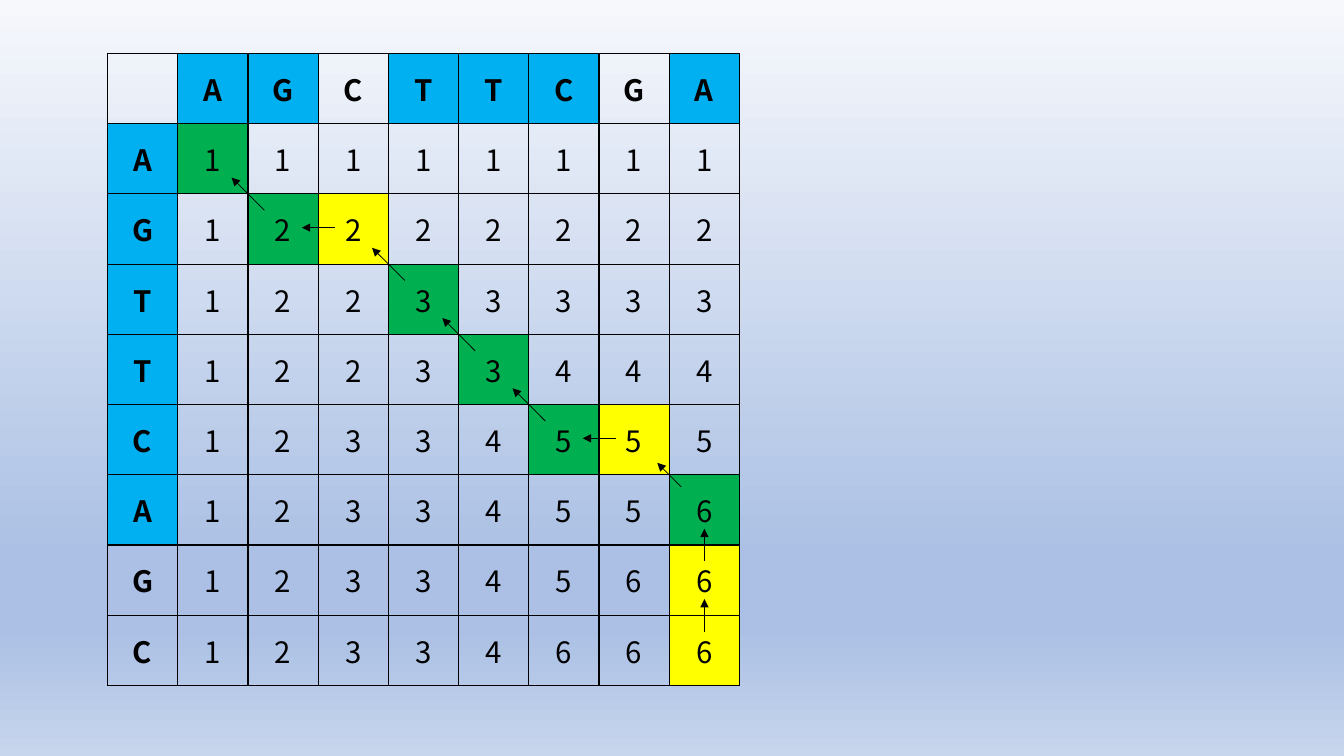
from lxml import etree
from pptx import Presentation
from pptx.dml.color import RGBColor
from pptx.enum.shapes import MSO_CONNECTOR
from pptx.enum.text import MSO_ANCHOR, PP_ALIGN
from pptx.oxml import parse_xml
from pptx.oxml.ns import nsdecls, qn
from pptx.util import Pt

STRAIGHT = MSO_CONNECTOR.STRAIGHT
MIDDLE = MSO_ANCHOR.MIDDLE
CENTER = PP_ALIGN.CENTER

BLACK = RGBColor(0, 0, 0)
BLUE = RGBColor(0x00, 0xB0, 0xF0)
GREEN = RGBColor(0x00, 0xB0, 0x50)
YELLOW = RGBColor(0xFF, 0xFF, 0x00)
SKY_STOPS = [
    (0, RGBColor(0xF6, 0xF8, 0xFC)),
    (74, RGBColor(0xAB, 0xC0, 0xE4)),
    (83, RGBColor(0xAB, 0xC0, 0xE4)),
    (100, RGBColor(0xC7, 0xD5, 0xED)),
]
FONT = "Noto Sans CJK SC"

# Header row first, then one row per letter of the second sequence
MATRIX = [
    " AGCTTCGA",
    "A11111111",
    "G12222222",
    "T12233333",
    "T12233444",
    "C12334555",
    "A12334556",
    "G12334566",
    "C12334666",
]
MATCHED_COLUMNS = {1, 2, 4, 5, 6, 8}
MATCHED_ROWS = {1, 2, 3, 4, 5, 6}

# Backtrace from the last cell to the first: (row, column)
BACKTRACE = [(8, 8), (7, 8), (6, 8), (5, 7), (5, 6), (4, 5), (3, 4), (2, 3), (2, 2), (1, 1)]
SKIPPED = {(8, 8), (7, 8), (5, 7), (2, 3)}
SHORT_STEP = (6, 8)
REACH, SHORT_REACH = 11.7, 8.6


def paint_background(page):
    stops = "".join(
        f'<a:gs pos="{place * 1000}"><a:srgbClr val="{color}"/></a:gs>'
        for place, color in SKY_STOPS
    )
    background = parse_xml(
        f'<p:bg {nsdecls("p", "a")}><p:bgPr><a:gradFill rotWithShape="1">'
        f'<a:gsLst>{stops}</a:gsLst><a:lin ang="5400000" scaled="0"/>'
        "</a:gradFill><a:effectLst/></p:bgPr></p:bg>"
    )
    page.element.cSld.insert(0, background)


def cell_color(row, column):
    if (row, column) in BACKTRACE:
        return YELLOW if (row, column) in SKIPPED else GREEN
    if (row == 0 and column in MATCHED_COLUMNS) or (column == 0 and row in MATCHED_ROWS):
        return BLUE
    return None


def add_borders(cell):
    properties = cell._tc.get_or_add_tcPr()
    for index, side in enumerate(("lnL", "lnR", "lnT", "lnB")):
        properties.insert(index, parse_xml(
            f'<a:{side} {nsdecls("a")} w="{Pt(1)}"><a:solidFill>'
            f'<a:srgbClr val="{BLACK}"/></a:solidFill></a:{side}>'
        ))


def format_cell(cell, text, color, bold):
    cell.margin_left = cell.margin_right = Pt(8.64)
    cell.margin_top = cell.margin_bottom = Pt(4.32)
    cell.vertical_anchor = MIDDLE
    if color is None:
        cell.fill.background()
    else:
        cell.fill.solid()
        cell.fill.fore_color.rgb = color
    add_borders(cell)
    cell.text = text.strip()
    para = cell.text_frame.paragraphs[0]
    para.alignment = CENTER
    para.font.name = FONT
    para.font.size = Pt(21)
    para.font.bold = bold
    para.font.color.rgb = BLACK


def add_matrix(page, left, top, side):
    count = len(MATRIX)
    frame = page.shapes.add_table(count, count, Pt(left), Pt(top), Pt(side), Pt(side))
    table = frame.table
    table.first_row = table.horz_banding = False
    for line in (*table.columns, *table.rows):
        if line in table.columns:
            line.width = Pt(side / count)
        else:
            line.height = Pt(side / count)
    for row, letters in enumerate(MATRIX):
        for column, text in enumerate(letters):
            format_cell(table.cell(row, column), text, cell_color(row, column),
                        bold=row == 0 or column == 0)


def add_arrow(page, start, end):
    arrow = page.shapes.add_connector(STRAIGHT, *map(Pt, (*start, *end)))
    arrow.line.color.rgb = BLACK
    arrow.line.width = Pt(0.5)
    etree.SubElement(arrow.line._get_or_add_ln(), qn("a:tailEnd"), type="triangle")
    etree.SubElement(arrow.element.spPr, qn("a:effectLst"))


def add_backtrace(page, left, top, side):
    step = side / len(MATRIX)
    for here, there in zip(BACKTRACE, BACKTRACE[1:]):
        # Each arrow straddles the edge or corner that both cells share
        x = left + step * (here[1] + there[1] + 1) / 2
        y = top + step * (here[0] + there[0] + 1) / 2
        reach = SHORT_REACH if here == SHORT_STEP else REACH
        run = reach * (here[1] - there[1])
        rise = reach * (here[0] - there[0])
        if rise == 0:
            y -= 1
        add_arrow(page, (x + run, y + rise), (x - run, y - rise))


def main():
    deck = Presentation()
    deck.slide_width, deck.slide_height = Pt(960), Pt(540)
    page = deck.slides.add_slide(deck.slide_layouts[6])
    paint_background(page)
    box = (76.8, 38.2, 451.5)
    add_matrix(page, *box)
    add_backtrace(page, *box)
    deck.save("out.pptx")


if __name__ == "__main__":
    main()
